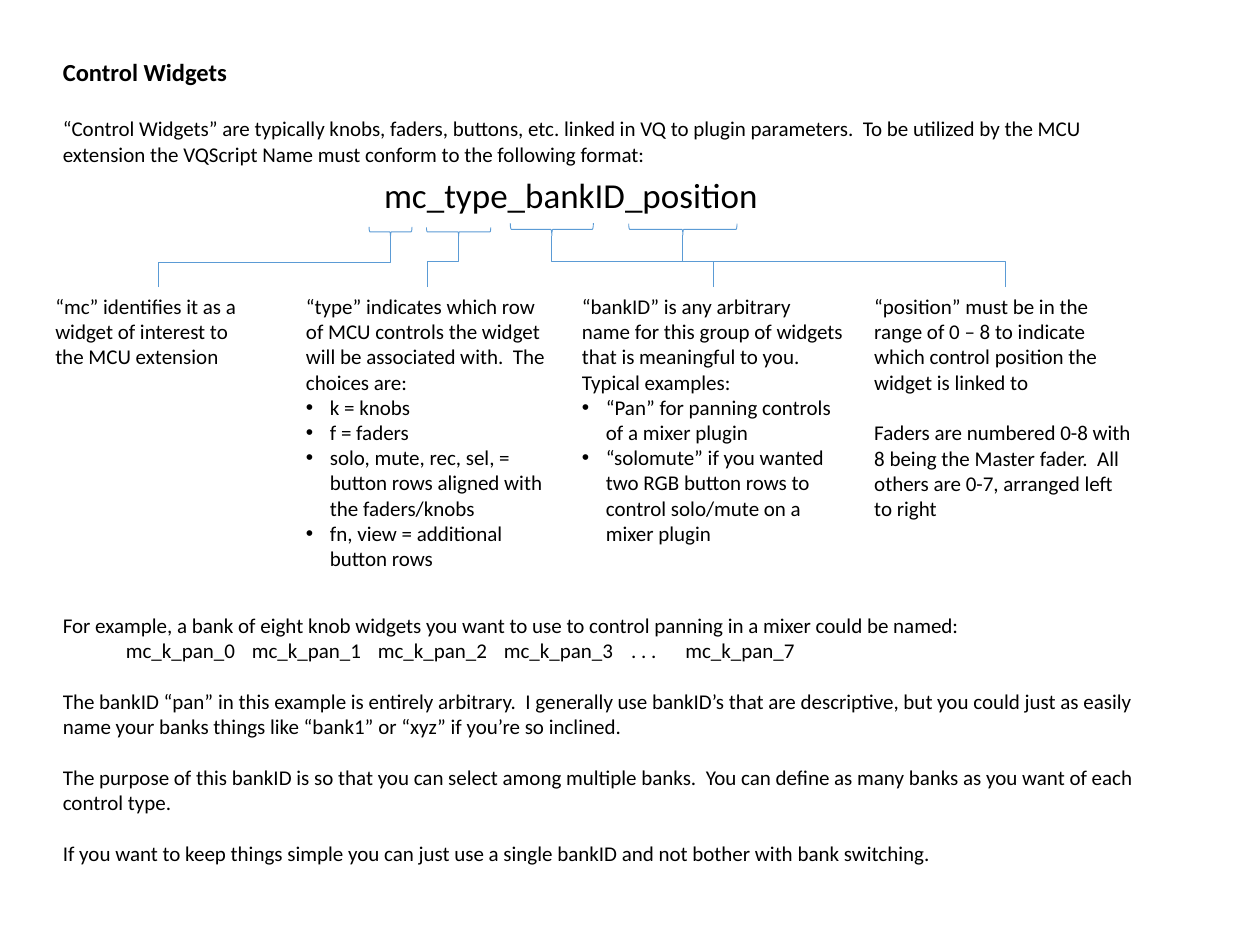
from pptx import Presentation
from pptx.dml.color import RGBColor
from pptx.enum.shapes import MSO_CONNECTOR as Link, MSO_SHAPE as Shape
from pptx.enum.text import MSO_AUTO_SIZE as Fit
from pptx.oxml.ns import qn
from pptx.util import Inches, Pt
from lxml.etree import SubElement

BLACK = RGBColor(0, 0, 0)
BLUE = RGBColor(0x5B, 0x9B, 0xD5)
FACE = "Calibri"
GAP = 14.65  # one line of 12 pt text
BULLET = 0.19
FOOT = 22.8  # row where the columns begin
STOPS = (0.5, 1.5, 2.5, 3.5, 4.51, 4.94)


def grid(n):
    """Length of n cells; the slide has 100 columns and 75 rows."""
    return Inches(n / 10)


def para(text, size=12, bold=False, gap=0, dot=False):
    return text, size, bold, gap, dot


def add_dot(item):
    props = item._p.get_or_add_pPr()
    props.set("marL", str(Inches(BULLET)))
    props.set("indent", str(-Inches(BULLET)))
    SubElement(props, qn("a:buFont"), typeface="Arial")
    SubElement(props, qn("a:buChar"), char="•")


def add_tabs(item):
    tabs = SubElement(item._p.get_or_add_pPr(), qn("a:tabLst"))
    for stop in STOPS:
        SubElement(tabs, qn("a:tab"), pos=str(Inches(stop)), algn="l")


def add_text(slide, place, paras, wrap=True):
    box = slide.shapes.add_textbox(*map(grid, place))
    frame = box.text_frame
    frame.word_wrap = wrap
    frame.auto_size = Fit.SHAPE_TO_FIT_TEXT
    for i, (text, size, bold, gap, dot) in enumerate(paras):
        item = frame.add_paragraph() if i else frame.paragraphs[0]
        item.text = text
        if dot:
            add_dot(item)
        if "\t" in text:
            add_tabs(item)
        if gap:
            item.space_before = Pt(gap)
        font = item.font
        font.name, font.size, font.bold = FACE, Pt(size), bold
        font.color.rgb = BLACK


def style(line):
    line.color.rgb = BLUE
    line.width = Pt(0.5)


def add_brace(slide, mid, row, span, depth):
    """Brace that opens upward, centred on column mid and the given row."""
    brace = slide.shapes.add_shape(
        Shape.LEFT_BRACE, grid(mid - depth / 2), grid(row - span / 2),
        grid(depth), grid(span))
    brace.rotation = 270
    brace.shadow.inherit = False
    brace.fill.background()
    style(brace.line)


def add_link(slide, foot, mid, tip):
    """Elbow from a column top to a brace tip, upright at both ends."""
    side = 1 if foot < mid else -1
    x, y = (foot + mid) / 2, (FOOT + tip) / 2
    wide, high = side * (FOOT - tip) / 2, abs(mid - foot) / 2
    link = slide.shapes.add_connector(
        Link.ELBOW, grid(x + wide), grid(y + high),
        grid(x - wide), grid(y - high))
    props = link._element.spPr
    turn = 90 if side > 0 else 270
    props.find(qn("a:xfrm")).set("rot", str(turn * 60000))
    style(link.line)
    SubElement(props, qn("a:effectLst"))


INTRO = [
    para("Control Widgets", 14, True),
    para("“Control Widgets” are typically knobs, faders, buttons, etc. linked in VQ to plugin parameters.  "
         "To be utilized by the MCU extension the VQScript Name must conform to the following format:",
         gap=17.1),
]

# Left, width, height and text of each column
COLUMNS = [
    (3.4, 18.2, 7.1, [
        para("“mc” identifies it as a widget of interest to the MCU extension")]),
    (23.3, 21.2, 23.2, [
        para("“type” indicates which row of MCU controls the widget will be associated with.  "
             "The choices are:"),
        para("k = knobs", dot=True),
        para("f = faders", dot=True),
        para("solo, mute, rec, sel, = button rows aligned with the faders/knobs", dot=True),
        para("fn, view = additional button rows", dot=True)]),
    (45.2, 22.7, 21.2, [
        para("“bankID” is any arbitrary name for this group of widgets that is meaningful to you.  "
             "Typical examples:"),
        para("“Pan” for panning controls of a mixer plugin", dot=True),
        para("“solomute” if you wanted two RGB button rows to control solo/mute on a mixer plugin",
             dot=True)]),
    (68.4, 22.7, 19.2, [
        para("“position” must be in the range of 0 – 8 to indicate which control position "
             "the widget is linked to"),
        para("Faders are numbered 0-8 with 8 being the Master fader.  "
             "All others are 0-7, arranged left to right", gap=GAP)]),
]

# Brace middle, row, span and depth, then the column its link drops to
BRACES = [
    (31, 18.4, 3.4, 0.8, 12.6),
    (36.4, 18.4, 5.1, 0.7, 33.9),
    (43.8, 18.2, 6.6, 1, 56.6),
    (54.2, 18.2, 8.6, 0.9, 79.8),
]

NOTES = [
    para("For example, a bank of eight knob widgets you want to use to control panning "
         "in a mixer could be named:"),
    para("\tmc_k_pan_0\tmc_k_pan_1\tmc_k_pan_2\tmc_k_pan_3\t. . .\tmc_k_pan_7"),
    para("The bankID “pan” in this example is entirely arbitrary.  I generally use bankID’s that are "
         "descriptive, but you could just as easily name your banks things like “bank1” or “xyz” "
         "if you’re so inclined.", gap=GAP),
    para("The purpose of this bankID is so that you can select among multiple banks.  "
         "You can define as many banks as you want of each control type.", gap=GAP),
    para("If you want to keep things simple you can just use a single bankID "
         "and not bother with bank switching.", gap=GAP),
]


def main():
    deck = Presentation()
    deck.slide_width, deck.slide_height = grid(100), grid(75)
    slide = deck.slides.add_slide(deck.slide_layouts[6])

    # Heading and name format
    add_text(slide, (4, 4, 88.5, 9.8), INTRO)
    add_text(slide, (29.5, 13.3, 32, 4.4),
             [para("mc_type_bankID_position", 20)], wrap=False)

    # Explanation of each part of the name
    for left, wide, high, paras in COLUMNS:
        add_text(slide, (left, FOOT, wide, high), paras)
    for mid, row, span, depth, foot in BRACES:
        add_brace(slide, mid, row, span, depth)
        add_link(slide, foot, mid, row + depth / 2)

    # Example and advice
    add_text(slide, (4, 48.1, 88.5, 23.2), NOTES)
    deck.save("out.pptx")


if __name__ == "__main__":
    main()
